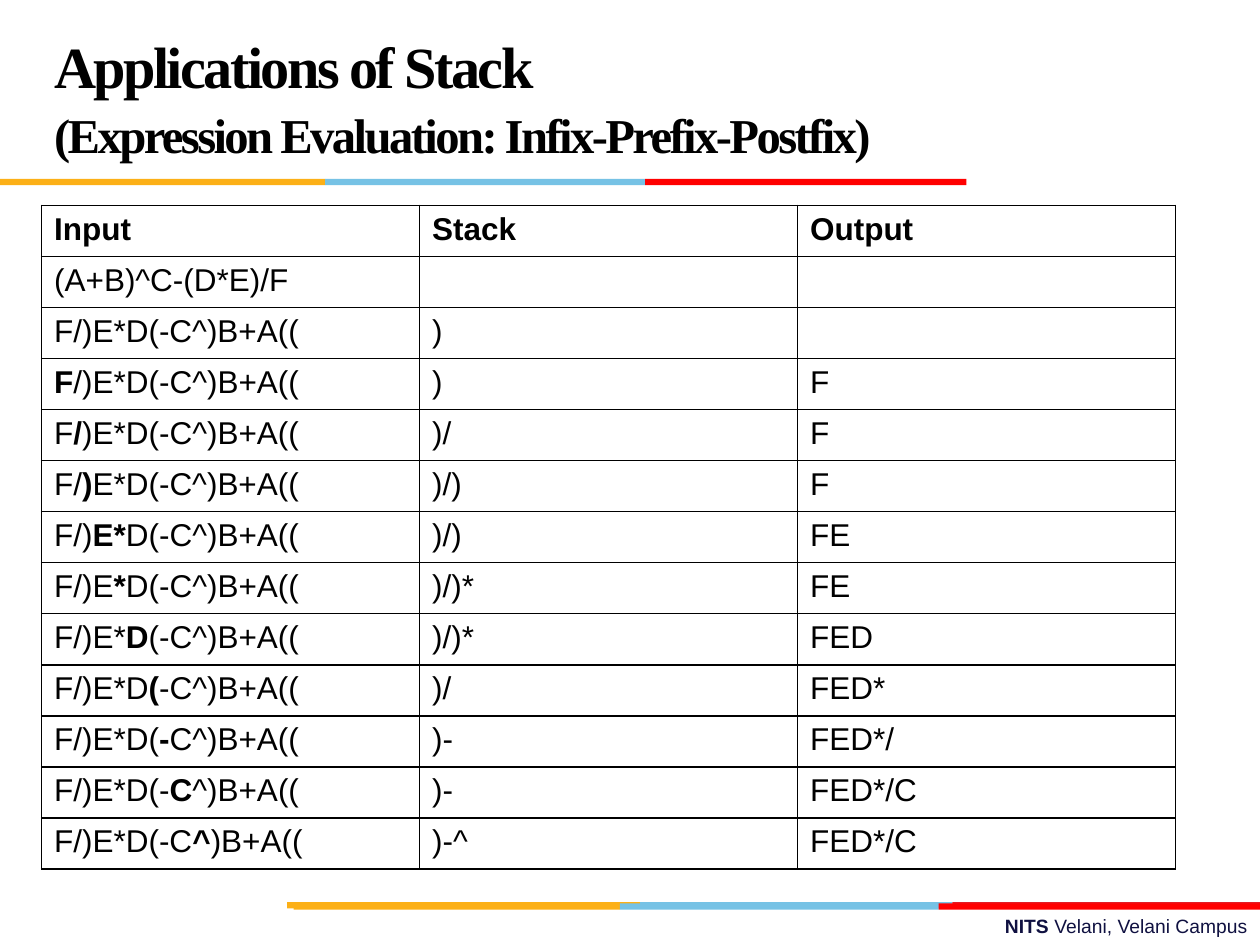
from lxml import etree
from pptx import Presentation
from pptx import util as u
from pptx.dml.color import RGBColor
from pptx.enum import shapes, text
from pptx.oxml.ns import qn

WIDTH, HEIGHT = u.Inches(10), u.Inches(7.5)
BLACK = RGBColor(0x00, 0x00, 0x00)
NAVY = RGBColor(0x10, 0x11, 0x41)
AMBER = RGBColor(0xFC, 0xB0, 0x17)
SKY = RGBColor(0x76, 0xC2, 0xE5)
CRIMSON = RGBColor(0xE3, 0x1C, 0x24)
RED = RGBColor(0xFF, 0x00, 0x00)

HEADINGS = ("Input", "Stack", "Output")
INFIX = "(A+B)^C-(D*E)/F"
REVERSED = "F/)E*D(-C^)B+A(("
STEPS = [
    (0, 0, ")", ""),
    (0, 1, ")", "F"),
    (1, 2, ")/", "F"),
    (2, 3, ")/)", "F"),
    (3, 5, ")/)", "FE"),
    (4, 5, ")/)*", "FE"),
    (5, 6, ")/)*", "FED"),
    (6, 7, ")/", "FED*"),
    (7, 8, ")-", "FED*/"),
    (8, 9, ")-", "FED*/C"),
    (9, 10, ")-^", "FED*/C"),
]


def inches(*values):
    return [u.Inches(v) for v in values]


def add_run(p, words, font, size, color, bold=False):
    r = p.add_run()
    r.text = words
    r.font.name = font
    r.font.size = u.Pt(size)
    r.font.bold = bold
    r.font.color.rgb = color
    return r


def add_stripe(s, top, edges, colors):
    for left, right, color in zip(edges, edges[1:], colors):
        sp = s.shapes.add_shape(shapes.MSO_SHAPE.RECTANGLE,
                                *inches(left, top, right - left, 0.05))
        sp.shadow.inherit = False
        sp.fill.solid()
        sp.fill.fore_color.rgb = color
        sp.line.fill.background()


def add_footer(s, box):
    tf = s.shapes.add_textbox(*box).text_frame
    tf.word_wrap = True
    p = tf.paragraphs[0]
    p.alignment = text.PP_ALIGN.RIGHT
    add_run(p, "NITS ", "Arial", 11, NAVY, True)
    add_run(p, "Velani, Velani Campus", "Arial", 11, NAVY)


def add_title(s, box):
    sp = s.shapes.title
    sp.left, sp.top, sp.width, sp.height = box
    tf = sp.text_frame
    tf.word_wrap = True
    tf.auto_size = text.MSO_AUTO_SIZE.NONE
    tf.vertical_anchor = text.MSO_ANCHOR.MIDDLE
    lines = (("Applications of Stack", 33.3),
             ("(Expression Evaluation: Infix-Prefix-Postfix)", 27.8))
    for i, (words, size) in enumerate(lines):
        p = tf.add_paragraph() if i else tf.paragraphs[0]
        p.alignment = text.PP_ALIGN.LEFT
        p.line_spacing = u.Pt(36)
        p.space_before = u.Pt(0)
        r = add_run(p, words, "Times New Roman", size, BLACK, True)
        r.font._element.set("spc", "-150")


def format_cell(cell):
    tc_pr = cell._tc.get_or_add_tcPr()
    for side in ("a:lnL", "a:lnR", "a:lnT", "a:lnB"):
        ln = etree.SubElement(tc_pr, qn(side), w=str(u.Pt(1)))
        fill = etree.SubElement(ln, qn("a:solidFill"))
        etree.SubElement(fill, qn("a:srgbClr"), val=str(BLACK))
    cell.fill.background()


def add_steps_table(s, box):
    rows = [[[(h, True)] for h in HEADINGS], [[(INFIX, False)], [], []]]
    for start, end, stack, output in STEPS:
        scan = [(REVERSED[:start], False), (REVERSED[start:end], True),
                (REVERSED[end:], False)]
        rows.append([scan, [(stack, False)], [(output, False)]])
    table = s.shapes.add_table(len(rows), len(HEADINGS), *box).table
    table.first_row = table.horz_banding = False
    for i, row in enumerate(rows):
        for j, runs in enumerate(row):
            cell = table.cell(i, j)
            format_cell(cell)
            for words, bold in runs:
                if words:
                    add_run(cell.text_frame.paragraphs[0], words, "Arial", 18,
                            BLACK, bold)


def main():
    prs = Presentation()
    prs.slide_width, prs.slide_height = WIDTH, HEIGHT
    s = prs.slides.add_slide(prs.slide_layouts[5])
    add_footer(s, inches(3.58, 7.21, 6.42, 0.29))
    add_stripe(s, 7.16, (2.28, 5.08, 7.56, 10), (AMBER, SKY, CRIMSON))
    add_stripe(s, 7.17, (2.33, 4.92, 7.45, 10), (AMBER, SKY, RED))
    add_stripe(s, 1.42, (0, 2.58, 5.12, 7.67), (AMBER, SKY, RED))
    add_steps_table(s, inches(0.33, 1.63, 9, 5.27))
    add_title(s, inches(0.33, 0.17, 6.92, 1.25))
    prs.save("out.pptx")


if __name__ == "__main__":
    main()
